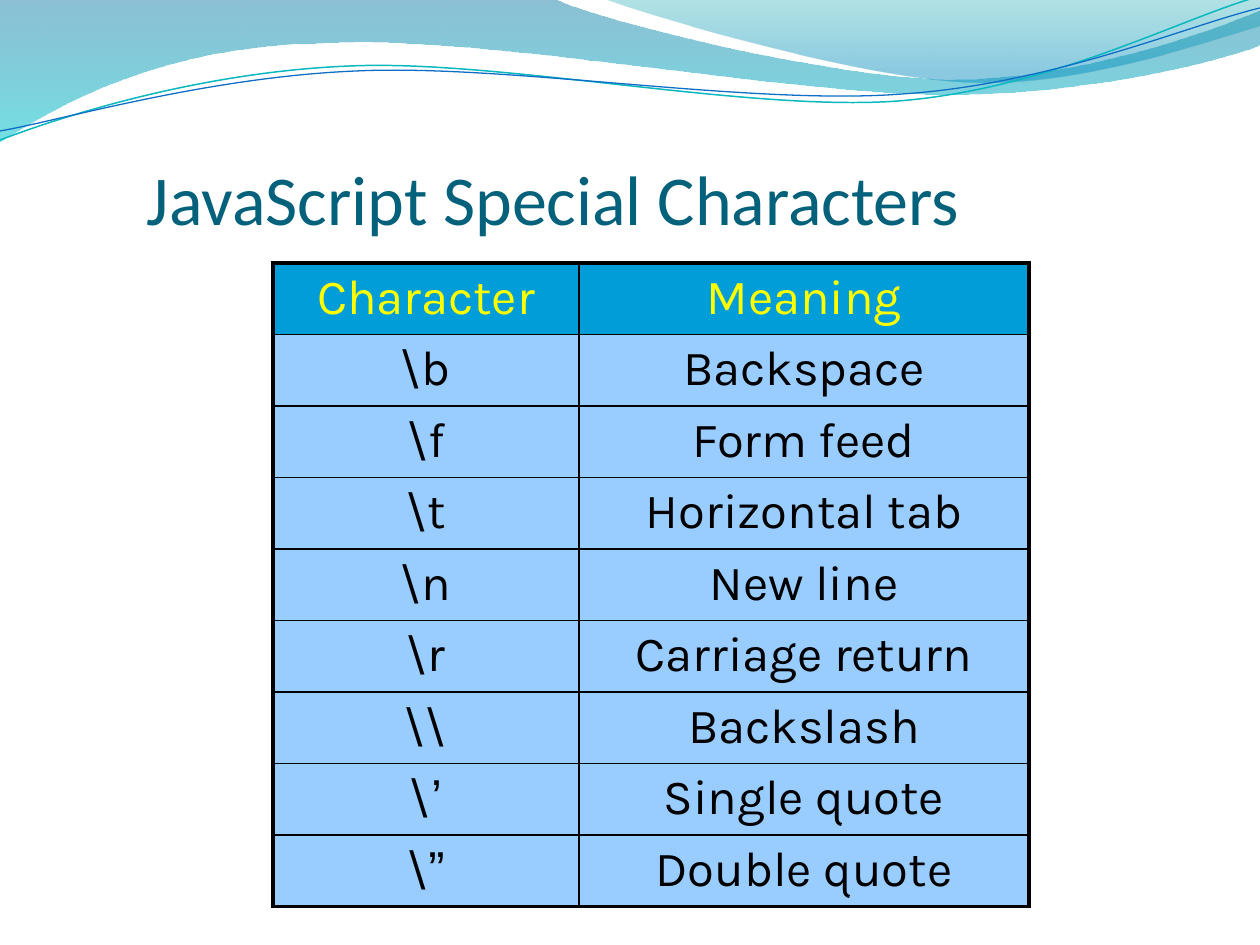
from dataclasses import dataclass

import lxml.etree
import pptx
import pptx.dml.color
import pptx.enum.text
import pptx.oxml.ns
import pptx.util

RGB = pptx.dml.color.RGBColor
ALIGN = pptx.enum.text.PP_ALIGN
ANCHOR = pptx.enum.text.MSO_ANCHOR
qn = pptx.oxml.ns.qn

EMU_PER_PX = 914400 / 126

BLACK = RGB(0x00, 0x00, 0x00)
YELLOW = RGB(0xFF, 0xFF, 0x00)
TITLE_TEAL = RGB(0x04, 0x61, 0x7B)
HEADER_BLUE = RGB(0x00, 0x9D, 0xD9)
ROW_BLUE = RGB(0x99, 0xCC, 0xFF)
DEEP_BLUE = RGB(0x00, 0x74, 0xA1)
TURQUOISE = RGB(0x00, 0xC6, 0xCF)
SEA_GREEN = RGB(0x00, 0xA1, 0xA9)
SKY_BLUE = RGB(0x00, 0x8B, 0xBF)
STRAND_TEAL = RGB(0x0A, 0xB8, 0xBF)
STRAND_BLUE = RGB(0x0F, 0x6F, 0xC6)

Point = tuple[int, int]


@dataclass(frozen=True)
class Stop:
    position: float
    color: RGB
    opacity: int


@dataclass(frozen=True)
class Ribbon:
    start: Point
    segments: list[list[Point]]
    stops: list[Stop]


@dataclass(frozen=True)
class Strand:
    start: Point
    segments: list[list[Point]]
    color: RGB
    width: float


RIBBONS = [
    Ribbon((0, 0), [
        [(554, -1)],
        [(600, 21), (837, 79), (955, 79)],
        [(1075, 79), (1207, 33), (1260, 11)],
        [(1261, 45)],
        [(1239, 55), (1096, 96), (940, 94)],
        [(784, 94), (481, 35), (324, 43)],
        [(163, 45), (58, 105), (-1, 142)],
    ], [Stop(0, DEEP_BLUE, 45), Stop(1, TURQUOISE, 55)]),
    Ribbon((604, -1), [
        [(641, 14), (859, 78), (969, 82)],
        [(1079, 87), (1211, 40), (1260, 26)],
        [(1260, 0)],
    ], [Stop(0, SEA_GREEN, 30), Stop(0.8, SKY_BLUE, 45)]),
]

STRANDS = [
    Strand((0, 140), [
        [(60, 117), (199, 72), (349, 66)],
        [(498, 59), (747, 112), (898, 101)],
        [(1050, 89), (1182, 18), (1257, -3)],
    ], STRAND_TEAL, 0.85),
    Strand((0, 131), [
        [(59, 121), (207, 77), (357, 71)],
        [(508, 64), (752, 106), (903, 94)],
        [(1053, 84), (1186, 26), (1260, 8)],
    ], STRAND_BLUE, 0.75),
]

SPECIAL_CHARACTERS = [
    ("Character", "Meaning"),
    ("\\b", "Backspace"),
    ("\\f", "Form feed"),
    ("\\t", "Horizontal tab"),
    ("\\n", "New line"),
    ("\\r", "Carriage return"),
    ("\\\\", "Backslash"),
    ("\\’", "Single quote"),
    ("\\”", "Double quote"),
]
TABLE_LEFT, TABLE_TOP, TABLE_HEIGHT, ROW_HEIGHT = 273, 263, 643, 58
COLUMN_WIDTHS = [306, 450]


def px(length: int) -> pptx.util.Emu:
    return pptx.util.Emu(round(length * EMU_PER_PX))


def write_text(frame, runs, *, font: str, size: float, color: RGB,
               align=ALIGN.LEFT) -> None:
    paragraph = frame.paragraphs[0]
    paragraph.alignment = align
    for text, run_font in runs:
        run = paragraph.add_run()
        run.text = text
        run.font.name = run_font or font
        run.font.size = pptx.util.Pt(size)
        run.font.color.rgb = color


def draw_outline(slide, start: Point, segments: list[list[Point]], close: bool):
    builder = slide.shapes.build_freeform(*start, scale=EMU_PER_PX)
    builder.add_line_segments(sum(segments, []), close=close)
    outline = builder.convert_to_shape()
    outline.shadow.inherit = False
    steps = iter(list(outline._element.iter(qn("a:lnTo"))))
    for segment in segments:
        lines = [next(steps) for _ in segment]
        if len(lines) == 3:
            curve = lxml.etree.Element(qn("a:cubicBezTo"))
            lines[0].addprevious(curve)
            for line in lines:
                curve.append(line[0])
                line.getparent().remove(line)
    return outline


def draw_ribbon(slide, ribbon: Ribbon) -> None:
    band = draw_outline(slide, ribbon.start, ribbon.segments, True)
    band.line.fill.background()
    band.fill.gradient()
    band.fill.gradient_angle = 270
    for target, stop in zip(band.fill.gradient_stops, ribbon.stops):
        target.position = stop.position
        target.color.rgb = stop.color
    colors = band._element.spPr.find(qn("a:gradFill")).iter(qn("a:srgbClr"))
    for color, stop in zip(list(colors), ribbon.stops):
        lxml.etree.SubElement(color, qn("a:alpha"), val=str(stop.opacity * 1000))


def draw_strand(slide, strand: Strand) -> None:
    curve = draw_outline(slide, strand.start, strand.segments, False)
    curve.fill.background()
    curve.line.color.rgb = strand.color
    curve.line.width = pptx.util.Pt(strand.width)


def set_borders(cell, widths: dict[str, float]) -> None:
    properties = cell._tc.get_or_add_tcPr()
    for index, (side, width) in enumerate(widths.items()):
        border = lxml.etree.Element(qn(f"a:ln{side}"), w=str(pptx.util.Pt(width)))
        fill = lxml.etree.SubElement(border, qn("a:solidFill"))
        lxml.etree.SubElement(fill, qn("a:srgbClr"), val=str(BLACK))
        properties.insert(index, border)


def draw_table(slide) -> None:
    rows, columns = len(SPECIAL_CHARACTERS), len(COLUMN_WIDTHS)
    holder = slide.shapes.add_table(
        rows, columns, px(TABLE_LEFT), px(TABLE_TOP),
        px(sum(COLUMN_WIDTHS)), px(TABLE_HEIGHT))
    table = holder.table
    table.first_row = table.horz_banding = False
    for column, width in zip(table.columns, COLUMN_WIDTHS):
        column.width = px(width)
    for r, entries in enumerate(SPECIAL_CHARACTERS):
        table.rows[r].height = px(ROW_HEIGHT)
        for c, entry in enumerate(entries):
            cell = table.cell(r, c)
            cell.fill.solid()
            cell.fill.fore_color.rgb = ROW_BLUE if r else HEADER_BLUE
            edges = {"L": c == 0, "R": c == columns - 1,
                     "T": r == 0, "B": r == rows - 1}
            set_borders(cell, {side: 2.25 if outer else 1
                               for side, outer in edges.items()})
            runs = [(entry, None)]
            if entry[-1] in "’”":
                runs = [(entry[:-1], None), (entry[-1], "Arial")]
            write_text(cell.text_frame, runs, font="Karla", size=28,
                       color=BLACK if r else YELLOW, align=ALIGN.CENTER)
    holder.height = px(TABLE_HEIGHT)


def draw_title(slide) -> None:
    frame = slide.shapes.add_textbox(px(147), px(41), px(1079), px(198)).text_frame
    frame.word_wrap = True
    frame.vertical_anchor = ANCHOR.BOTTOM
    frame.margin_left = frame.margin_right = frame.margin_bottom = 0
    write_text(frame, [("JavaScript Special Characters", None)],
               font="Calibri", size=40, color=TITLE_TEAL)


def main() -> None:
    deck = pptx.Presentation()
    deck.slide_width, deck.slide_height = px(1260), px(945)
    slide = deck.slides.add_slide(deck.slide_layouts[6])
    for ribbon in RIBBONS:
        draw_ribbon(slide, ribbon)
    for strand in STRANDS:
        draw_strand(slide, strand)
    draw_title(slide)
    draw_table(slide)
    deck.save("out.pptx")


if __name__ == "__main__":
    main()
